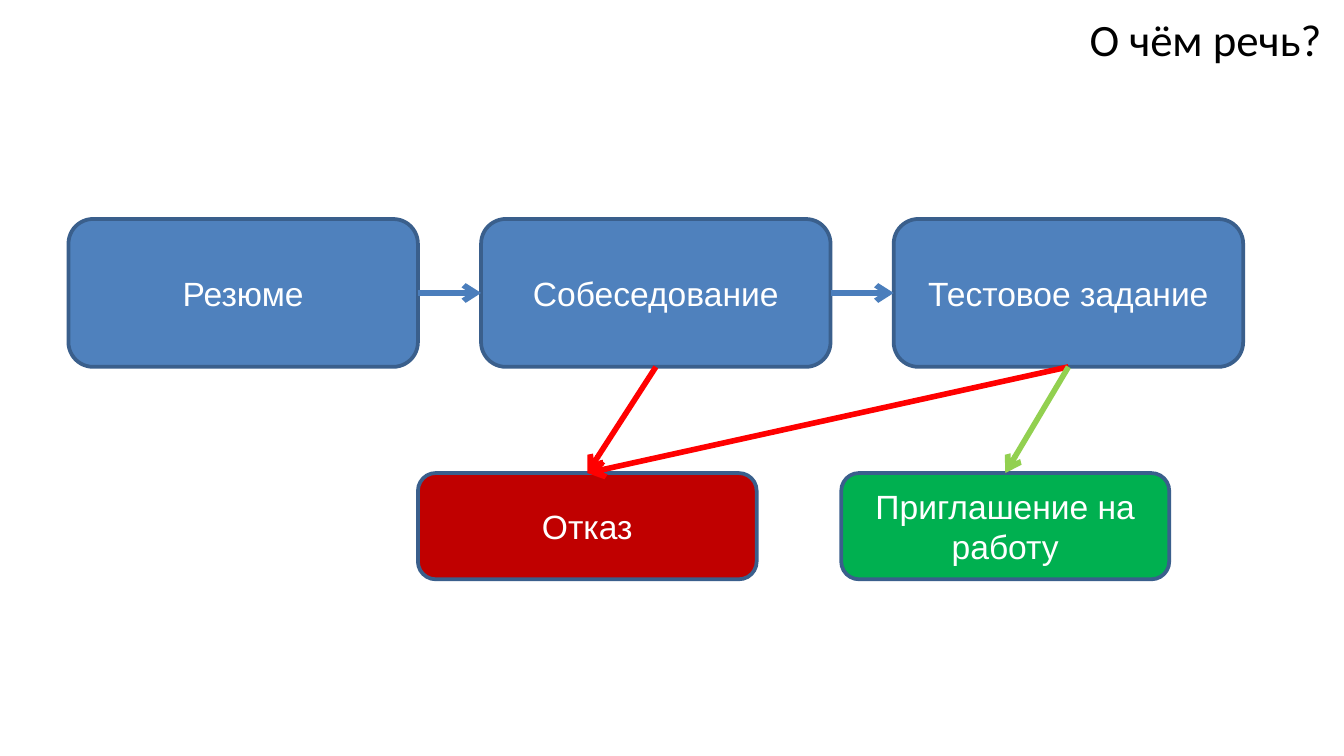
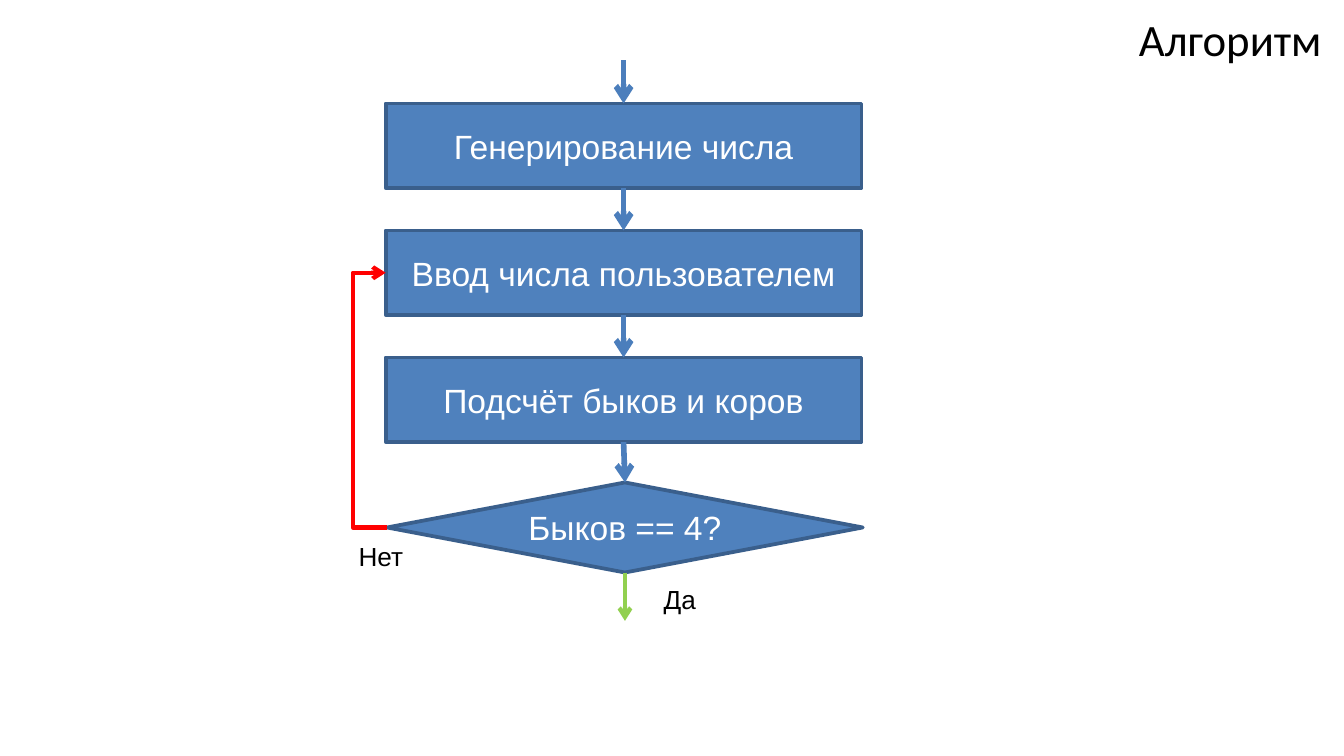
from lxml.etree import SubElement
from pptx import Presentation
from pptx.dml.color import RGBColor
from pptx.enum.shapes import MSO_CONNECTOR as CXN, MSO_SHAPE as SHAPE
from pptx.enum.text import MSO_ANCHOR as ANCHOR, PP_ALIGN as ALIGN
from pptx.oxml.ns import qn
from pptx.util import Inches, Pt

W = 10
H = W * 9 / 16
COLORS = {
    "box": "4F81BD", "edge": "3A5F8C", "flow": "4B7EBC",
    "refuse": "C00000", "invite": "00B050", "no": "FF0000", "yes": "92D050",
    "light": "FFFFFF", "dark": "000000",
}
TOP, LEFT, BOTTOM, RIGHT = range(4)

STAGES = ["Резюме", "Собеседование", "Тестовое задание"]
STAGE_X, STAGE_Y, STAGE_W, STAGE_H, STAGE_STEP = 0.51, 1.63, 2.6, 1.1, 3.07
OUTCOMES = [
    ("Отказ", 3.11, 2.52, "refuse"),
    ("Приглашение на работу", 6.26, 2.44, "invite"),
]
OUTCOME_Y, OUTCOME_H = 3.52, 0.79
VERDICTS = [
    ("Собеседование", "Отказ", "no"),
    ("Тестовое задание", "Отказ", "no"),
    ("Тестовое задание", "Приглашение на работу", "yes"),
]

STEPS = ["Генерирование числа", "Ввод числа пользователем", "Подсчёт быков и коров"]
CHECK = "Быков == 4?"
STEP_X, STEP_Y, STEP_W, STEP_H = 2.87, 0.77, 3.54, 0.63
STEP_PITCH = STEP_H * 1.5
CHECK_X, CHECK_Y, CHECK_H = 2.88, 3.59, 0.67
ENTRY_Y, EXIT_Y, LOOP_X = 0.45, 4.62, 2.62
ANSWERS = [("Да", 4.84, 4.29, 0.44), ("Нет", 2.57, 3.97, 0.54)]


def rgb(name):
    return RGBColor.from_string(COLORS[name])


def write(shape, text, size, color, font="Arial", align=ALIGN.CENTER, anchor=ANCHOR.MIDDLE, wrap=True):
    tf = shape.text_frame
    tf.word_wrap = wrap
    tf.vertical_anchor = anchor
    p = tf.paragraphs[0]
    p.alignment = align
    r = p.add_run()
    r.text = text
    r.font.size = Pt(size)
    r.font.name = font
    r.font.color.rgb = rgb(color)


def add_slide(prs, title):
    s = prs.slides.add_slide(prs.slide_layouts[6])
    box = s.shapes.add_textbox(*map(Inches, (5.48, 0.06, 4.45, 0.46)))
    write(box, title, 24, "dark", "Calibri", ALIGN.RIGHT)
    return s


def add_box(s, kind, text, x, y, w, h, fill="box"):
    sp = s.shapes.add_shape(kind, *map(Inches, (x, y, w, h)))
    sp.shadow.inherit = False
    sp.fill.solid()
    sp.fill.fore_color.rgb = rgb(fill)
    sp.line.color.rgb = rgb("edge")
    sp.line.width = Pt(2)
    write(sp, text, 18, "light")
    return sp


def add_arrow(s, start, end, color="flow", width=3, kind=CXN.STRAIGHT):
    c = s.shapes.add_connector(kind, 0, 0, 0, 0)
    if isinstance(start[0], float):
        c.begin_x, c.begin_y = map(Inches, start)
    else:
        c.begin_connect(*start)
    if isinstance(end[0], float):
        c.end_x, c.end_y = map(Inches, end)
    else:
        c.end_connect(*end)
    c.line.color.rgb = rgb(color)
    c.line.width = Pt(width)
    spPr = c._element.spPr
    SubElement(spPr.find(qn("a:ln")), qn("a:tailEnd"), type="arrow")
    SubElement(spPr, qn("a:effectLst"))
    return c


def bend_at(c, x):
    geom = c._element.spPr.find(qn("a:prstGeom"))
    guides = geom.find(qn("a:avLst"))
    if guides is None:
        guides = SubElement(geom, qn("a:avLst"))
    share = round((c.begin_x - Inches(x)) / c.width * 100000)
    SubElement(guides, qn("a:gd"), name="adj1", fmla=f"val {share}")


def build_hiring(prs):
    s = add_slide(prs, "О чём речь?")
    boxes = {}
    for i, text in enumerate(STAGES):
        boxes[text] = add_box(s, SHAPE.ROUNDED_RECTANGLE, text,
                              STAGE_X + i * STAGE_STEP, STAGE_Y, STAGE_W, STAGE_H)
    for text, x, w, fill in OUTCOMES:
        boxes[text] = add_box(s, SHAPE.ROUNDED_RECTANGLE, text, x, OUTCOME_Y, w, OUTCOME_H, fill)
    for a, b in zip(STAGES, STAGES[1:]):
        add_arrow(s, (boxes[a], RIGHT), (boxes[b], LEFT))
    for a, b, color in VERDICTS:
        add_arrow(s, (boxes[a], BOTTOM), (boxes[b], TOP), color)


def build_algorithm(prs):
    s = add_slide(prs, "Алгоритм")
    steps = [add_box(s, SHAPE.RECTANGLE, text, STEP_X, STEP_Y + i * STEP_PITCH, STEP_W, STEP_H)
             for i, text in enumerate(STEPS)]
    check = add_box(s, SHAPE.FLOWCHART_DECISION, CHECK, CHECK_X, CHECK_Y, STEP_W, CHECK_H)
    chain = steps + [check]
    for a, b in zip(chain, chain[1:]):
        add_arrow(s, (a, BOTTOM), (b, TOP))
    loop = add_arrow(s, (check, LEFT), (steps[1], LEFT), "no", 2.25, CXN.ELBOW)
    bend_at(loop, LOOP_X)
    add_arrow(s, (check, BOTTOM), (CHECK_X + STEP_W / 2, EXIT_Y), "yes", 2.25)
    add_arrow(s, (STEP_X + STEP_W / 2, ENTRY_Y), (steps[0], TOP))
    for text, x, y, w in ANSWERS:
        box = s.shapes.add_textbox(*map(Inches, (x, y, w, 0.34)))
        write(box, text, 14, "dark", align=ALIGN.LEFT, anchor=ANCHOR.TOP, wrap=False)


def main():
    prs = Presentation()
    prs.slide_width, prs.slide_height = Inches(W), Inches(H)
    build_hiring(prs)
    build_algorithm(prs)
    prs.save("out.pptx")


if __name__ == "__main__":
    main()
